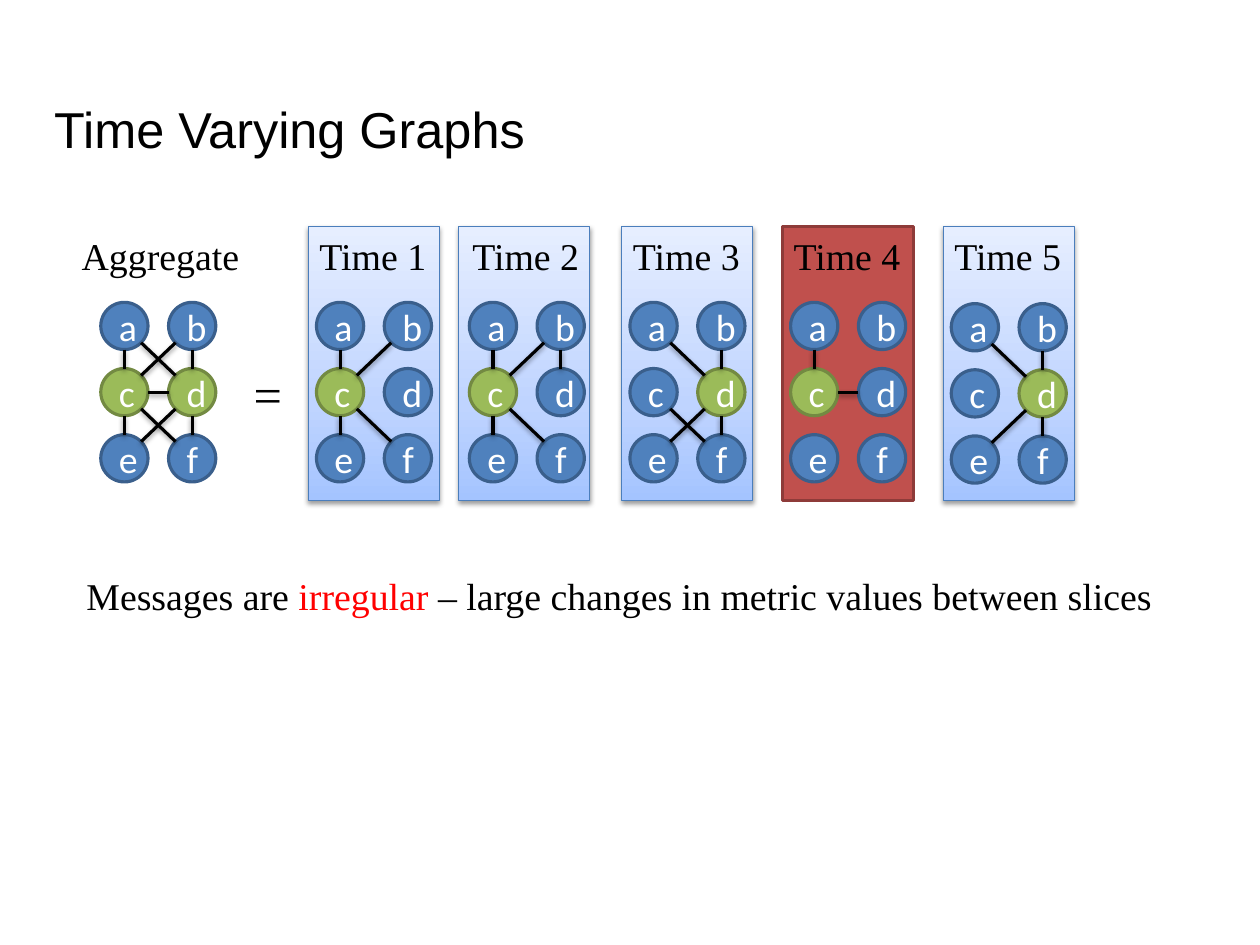
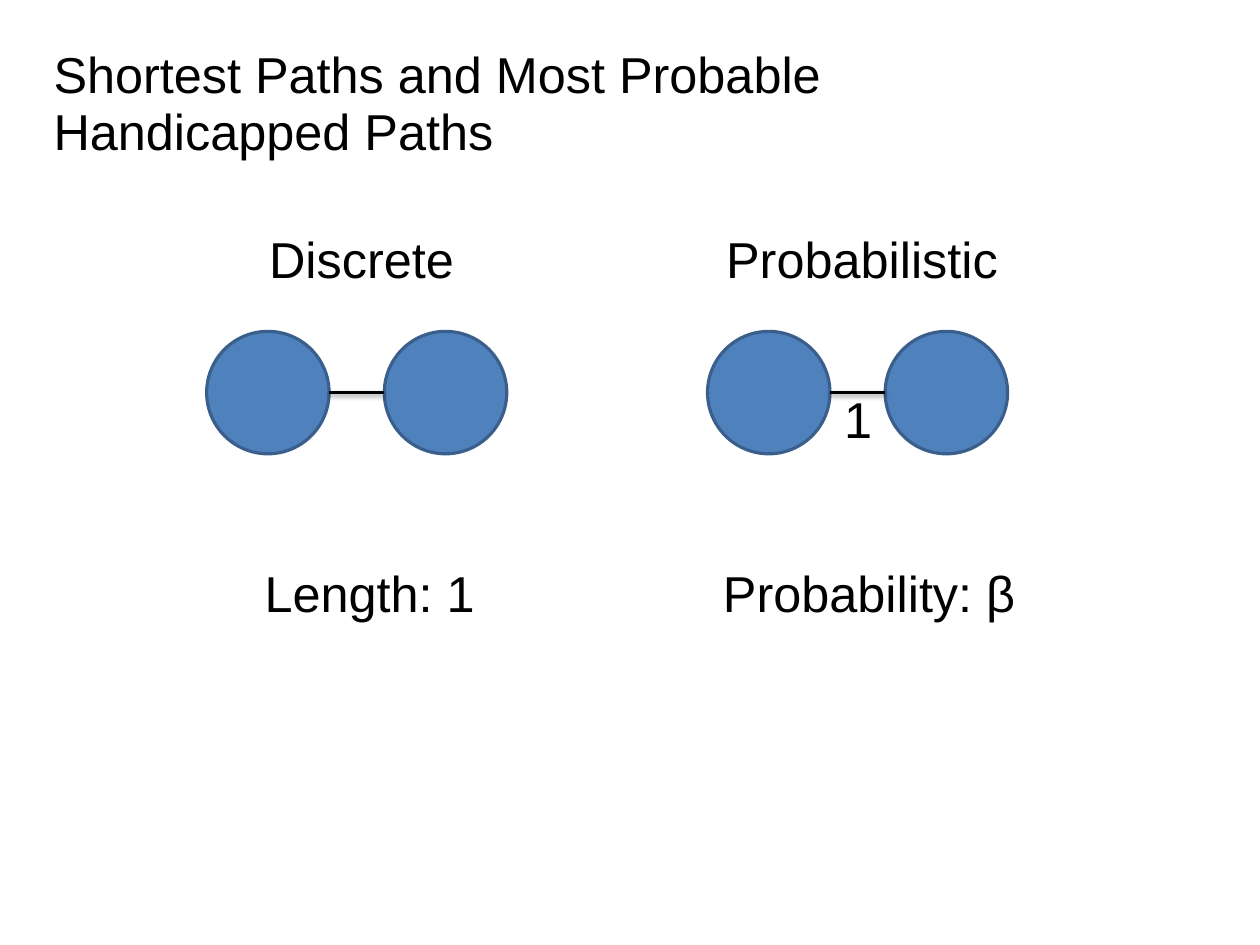
import copy
import math
import pptx
import pptx.util
import pptx.dml.color
import pptx.enum.shapes
import pptx.enum.text
import pptx.oxml
import pptx.oxml.ns

# Grid: 100 columns by 75 rows, nine to the inch
COLS, ROWS, CELL = 100, 75, 1 / 9

# Shared look
BLACK, WHITE, RED = "000000", "FFFFFF", "FF0000"
BLUE = ("4F81BD", "3A5F8C")
GREEN = ("9BBB59", "738A42")
BRICK = ("C0504D", "8E3B39")
PALE = ((0, "A4C4FF"), (0.35, "BFD4FF"), (1, "E6EEFF"))
EDGE = "4B7EBC"
SANS = {"name": "Arial", "size": pptx.util.Pt(32)}
SERIF = {"name": "Times New Roman", "size": pptx.util.Pt(24)}
SIGN = {"name": "Times New Roman", "size": pptx.util.Pt(32)}
NODE = {"name": "Calibri", "size": pptx.util.Pt(24)}
ALIGN = pptx.enum.text.PP_ALIGN
ANCHOR = pptx.enum.text.MSO_ANCHOR
FIT = pptx.enum.text.MSO_AUTO_SIZE
KIND = pptx.enum.shapes.MSO_SHAPE
FLUSH = {"margin_left": 0, "margin_top": 0, "margin_right": 0, "margin_bottom": 0}
LOOSE = {"word_wrap": False, "auto_size": FIT.SHAPE_TO_FIT_TEXT}
SNUG = {**FLUSH, "word_wrap": True, "auto_size": FIT.SHAPE_TO_FIT_TEXT}
HEAD = {**FLUSH, "word_wrap": True, "auto_size": FIT.NONE,
        "vertical_anchor": ANCHOR.BOTTOM}
MID = {"alignment": ALIGN.CENTER, "line_spacing": 0.95}

# Small graphs: node size and pitch, place of each letter
DOT, STEP, DROP, TOP = 3.75, 5.38, 5.25, 24
SPOT = {c: (i % 2, i // 2) for i, c in enumerate("abcdef")}
PAD, WIDE, TALL, ROOF = 0.65, 10.4, 21.75, 18


def grid(*vals):
    return [pptx.util.Inches(v * CELL) for v in vals]


def tint(code):
    return pptx.dml.color.RGBColor.from_string(code)


def put(item, vals):
    for key, val in vals.items():
        setattr(item, key, val)


def write(frame, parts, font, body, para):
    """Fill a text frame with (words, colour) runs."""
    put(frame, body)
    line = frame.paragraphs[0]
    put(line, para)
    for words, code in parts:
        run = line.add_run()
        run.text = words
        put(run.font, font)
        run.font.color.rgb = tint(code)


def label(slide, words, box, font=SERIF, body=LOOSE, para={}):
    parts = [(words, BLACK)] if isinstance(words, str) else words
    frame = slide.shapes.add_textbox(*grid(*box)).text_frame
    write(frame, parts, font, body, para)


def start(deck, words, box):
    """Add a slide with its title."""
    slide = deck.slides.add_slide(deck.slide_layouts[0])
    sub = slide.placeholders[1].element
    sub.getparent().remove(sub)
    title = slide.shapes.title
    put(title, dict(zip(("left", "top", "width", "height"), grid(*box))))
    title.text_frame.text = words
    put(title.text_frame, HEAD)
    line = title.text_frame.paragraphs[0]
    put(line, {"alignment": ALIGN.LEFT, "line_spacing": 0.95})
    put(line.font, SANS)
    line.font.color.rgb = tint(BLACK)
    return slide


def shape(slide, kind, box, pair, width=2):
    item = slide.shapes.add_shape(kind, *grid(*box))
    item.shadow.inherit = False
    item.fill.solid()
    item.fill.fore_color.rgb = tint(pair[0])
    item.line.color.rgb = tint(pair[1])
    item.line.width = pptx.util.Pt(width)
    return item


def link(slide, x1, y1, x2, y2):
    """Draw a black line; it takes the soft shadow of the theme."""
    kind = pptx.enum.shapes.MSO_CONNECTOR.STRAIGHT
    item = slide.shapes.add_connector(kind, *grid(x1, y1, x2, y2))
    item.line.color.rgb = tint(BLACK)
    item.line.width = pptx.util.Pt(2)


def fade(item):
    """Give a panel the pale gradient and a soft shadow."""
    item.fill.gradient()
    item.fill.gradient_angle = 90
    props = item.element.spPr
    stops = props.find(".//" + pptx.oxml.ns.qn("a:gsLst"))
    stops.append(copy.deepcopy(stops[-1]))
    for stop, (place, code) in zip(item.fill.gradient_stops, PALE):
        stop.position = place
        stop.color.rgb = tint(code)
    glow = pptx.oxml.parse_xml(
        f'<a:outerShdw {pptx.oxml.ns.nsdecls("a")} blurRad="40000" dist="20000" '
        'dir="5400000" rotWithShape="0"><a:srgbClr val="000000">'
        '<a:alpha val="38000"/></a:srgbClr></a:outerShdw>')
    props.find(pptx.oxml.ns.qn("a:effectLst")).append(glow)


def panel(slide, left, hot):
    box = (left, ROOF, WIDE, TALL)
    if hot:
        shape(slide, KIND.RECTANGLE, box, BRICK)
    else:
        fade(shape(slide, KIND.RECTANGLE, box, (WHITE, EDGE), 0.75))


def graph(slide, left, top, hubs, edges):
    """Draw six nodes, then edges such as 'ac' from rim to rim."""
    for name, (col, row) in SPOT.items():
        box = (left + col * STEP, top + row * DROP, DOT, DOT)
        dot = shape(slide, KIND.OVAL, box, GREEN if name in hubs else BLUE)
        write(dot.text_frame, [(name, WHITE)], NODE,
              {"vertical_anchor": ANCHOR.MIDDLE}, {"alignment": ALIGN.CENTER})
    for one, two in edges.split():
        (c1, r1), (c2, r2) = SPOT[one], SPOT[two]
        reach = DOT / 2 / math.hypot(c2 - c1, r2 - r1)
        dx, dy = (c2 - c1) * reach, (r2 - r1) * reach
        x, y = left + DOT / 2, top + DOT / 2
        link(slide, x + c1 * STEP + dx, y + r1 * DROP + dy,
             x + c2 * STEP - dx, y + r2 * DROP - dy)


def times(deck):
    slide = start(deck, "Time Varying Graphs", (4.3, 3, 91.35, 9.7))
    # Graph left, panel left, top, hubs, edges
    slices = (
        (25.12, 24.47, TOP, "c", "ac bc ce cf"),
        (37.25, 36.4, TOP, "c", "ac bd bc ce cf"),
        (50, 49.35, TOP, "d", "bd ad df cf de"),
        (62.75, 62.1, TOP, "c", "cd ac"),
        (75.5, 74.85, TOP + 0.1, "d", "bd ad df de"),
    )
    for num, (_, side, *_) in enumerate(slices, 1):
        panel(slide, side, num == 4)

    # Graphs
    graph(slide, 8, TOP, "cd", "ac bd ad bc df ce cf de cd")
    for left, _, top, hubs, edges in slices:
        graph(slide, left, top, hubs, edges)

    # Labels
    label(slide, "Aggregate", (5.6, ROOF, 14.4, 4.6))
    for num, (left, *_) in enumerate(slices, 1):
        label(slide, f"Time {num}", (left - PAD, ROOF, WIDE, 4.6))
    label(slide, "=", (19.25, 28.35, 4.05, 5.75), SIGN)
    label(slide, [("Messages are ", BLACK), ("irregular ", RED),
                  ("– large changes in metric values between slices", BLACK)],
          (5.6, 45.25, 87.1, 4.3), para=MID)


def paths(deck):
    slide = start(deck, "Shortest Paths and Most Probable \vHandicapped Paths",
                  (4.25, 2.9, 91.6, 9.97))
    # Captions
    for words, box in (
        ("Discrete", (21.05, 18.45, 15.3, 4.85)),
        ("Probabilistic", (57.4, 18.45, 22.05, 4.85)),
        ("Length: 1", (20, 45, 18.7, 9.2)),
        ("Probability:\u00a0β", (55.9, 45, 26.2, 4.8)),
        ("1", (66.4, 31.15, 3.4, 4.85)),
    ):
        label(slide, words, box, SANS, SNUG, MID)

    # Two linked pairs
    size, step, top = 9.72, 14.1, 26.3
    for left in (16.4, 56.15):
        for x in (left, left + step):
            shape(slide, KIND.OVAL, (x, top, size, size), BLUE)
        mid = top + size / 2
        link(slide, left + size, mid, left + step, mid)


def main():
    deck = pptx.Presentation()
    deck.slide_width, deck.slide_height = grid(COLS, ROWS)
    times(deck)
    paths(deck)
    deck.save("out.pptx")


main()
